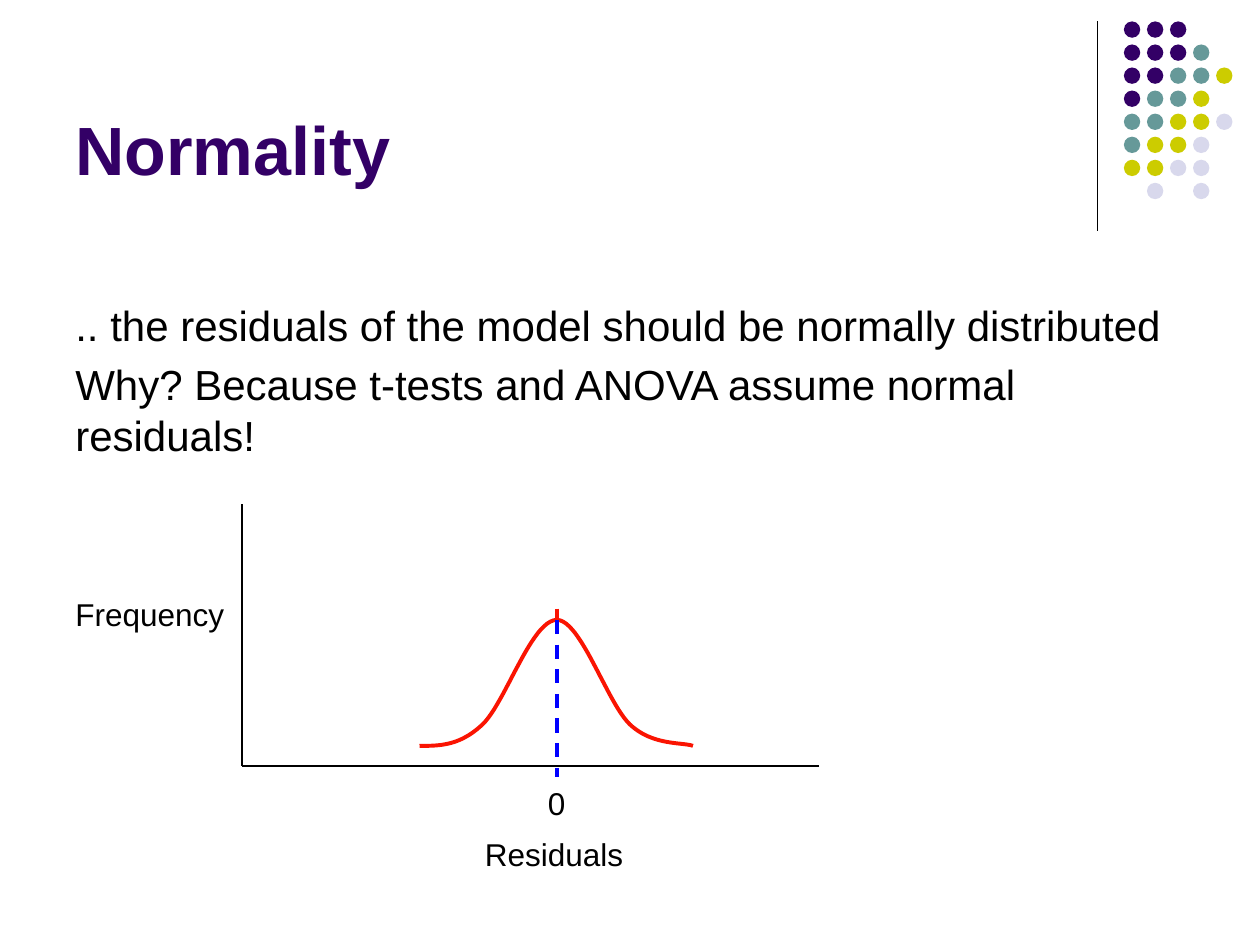
from pptx import Presentation
from pptx.dml.color import RGBColor
from pptx.enum.dml import MSO_LINE_DASH_STYLE as Dash
from pptx.enum.shapes import MSO_CONNECTOR as Connector, MSO_SHAPE as Shape
from pptx.enum.text import MSO_ANCHOR as Anchor
from pptx.oxml.ns import qn
from pptx.util import Inches, Pt

# Content
TITLE = "Normality"
BODY = [
    ".. the residuals of the model should be normally distributed",
    "Why? Because t-tests and ANOVA assume normal residuals!",
]
LABELS = [  # text, left, top, width
    ("Residuals", 3.75, 6.58, 1.83),
    ("Frequency", 0.5, 4.67, 1.42),
    ("0", 4.25, 6.17, 0.33),
]
COLORS = {
    "P": "330066", "T": "669999", "Y": "CCCC00", "L": "D8D8EC",
    "black": "000000", "red": "FA1402", "blue": "0000FF",
}
DOTS = ["PPP", "PPPT", "PPTTY", "PTTY", "TTYYL", "TYYL", "YYLL", " L L"]

# Layout, in inches
DOT_LEFT, DOT_TOP, DOT_PITCH, DOT_SIZE = 8.92, 0.17, 0.183, 0.13
AXIS_X, AXIS_Y, AXIS_TOP, AXIS_END = 1.92, 6.08, 4, 6.5
MEAN_X, PEAK_Y = 4.42, 4.92
CURVE_START = (3.33, 5.92)
CURVE = [  # two control points and an end point for each piece
    ((3.49, 5.92), (3.65, 5.92), (3.83, 5.75)),
    ((4.01, 5.58), (4.22, PEAK_Y), (MEAN_X, PEAK_Y)),
    ((4.61, PEAK_Y), (4.82, 5.58), (5, 5.75)),
    ((5.18, 5.92), (5.42, 5.89), (5.5, 5.92)),
]
STEPS = 24

deck = Presentation()
deck.slide_width, deck.slide_height = Inches(10), Inches(7.5)
page = deck.slides.add_slide(deck.slide_layouts[6])


def color(name):
    return RGBColor.from_string(COLORS[name])


def add_text(lines, left, top, width, height, size=18, ink="black",
             bold=False, anchor=Anchor.TOP, gap=0):
    box = page.shapes.add_textbox(*map(Inches, (left, top, width, height)))
    frame = box.text_frame
    frame.word_wrap, frame.vertical_anchor = True, anchor
    for index, line in enumerate(lines):
        para = frame.paragraphs[0] if index == 0 else frame.add_paragraph()
        para.space_before = Pt(gap if index else 0)
        span = para.add_run()
        span.text = line
        span.font.name, span.font.size, span.font.bold = "Arial", Pt(size), bold
        span.font.color.rgb = color(ink)


def add_line(x1, y1, x2, y2, ink="black", weight=0.75, dash=None):
    line = page.shapes.add_connector(
        Connector.STRAIGHT, *map(Inches, (x1, y1, x2, y2)))
    line.line.color.rgb, line.line.width = color(ink), Pt(weight)
    if dash:
        line.line.dash_style = dash
    properties = line._element.spPr
    properties.append(properties.makeelement(qn("a:effectLst"), {}))


def bezier_points(start, pieces):
    """Yield points along the joined cubic curves, in slide units."""
    for first, second, end in pieces:
        for step in range(1, STEPS + 1):
            t = step / STEPS
            u = 1 - t
            yield tuple(
                Inches(u**3 * a + 3 * u * u * t * b + 3 * u * t * t * c + t**3 * d)
                for a, b, c, d in zip(start, first, second, end))
        start = end


# Corner decoration
add_line(8.71, 0.17, 8.71, 1.83)
for row, keys in enumerate(DOTS):
    for column, key in enumerate(keys):
        if key == " ":
            continue
        dot = page.shapes.add_shape(
            Shape.OVAL, Inches(DOT_LEFT + column * DOT_PITCH),
            Inches(DOT_TOP + row * DOT_PITCH), Inches(DOT_SIZE), Inches(DOT_SIZE))
        dot.shadow.inherit = False
        dot.fill.solid()
        dot.fill.fore_color.rgb = color(key)
        dot.line.fill.background()

# Title and body
add_text([TITLE], 0.5, 0.13, 8.25, 1.42, size=39, ink="P", bold=True,
         anchor=Anchor.BOTTOM)
add_text(BODY, 0.5, 2.33, 9, 4.37, size=24, gap=5)

# Axes
add_line(AXIS_X, AXIS_TOP, AXIS_X, AXIS_Y)
add_line(AXIS_END, AXIS_Y, AXIS_X, AXIS_Y)

# Bell curve with its peak tick
builder = page.shapes.build_freeform(*map(Inches, CURVE_START))
builder.add_line_segments(list(bezier_points(CURVE_START, CURVE)), close=False)
bell = builder.convert_to_shape()
bell.shadow.inherit = False
bell.fill.background()
bell.line.color.rgb, bell.line.width = color("red"), Pt(2.25)
add_line(MEAN_X, 4.83, MEAN_X, PEAK_Y, ink="red", weight=2.25)

# Labels and mean line
for text, left, top, width in LABELS:
    add_text([text], left, top, width, 0.4)
add_line(MEAN_X, PEAK_Y, MEAN_X, 6.17, ink="blue", weight=2, dash=Dash.DASH)

deck.save("out.pptx")
